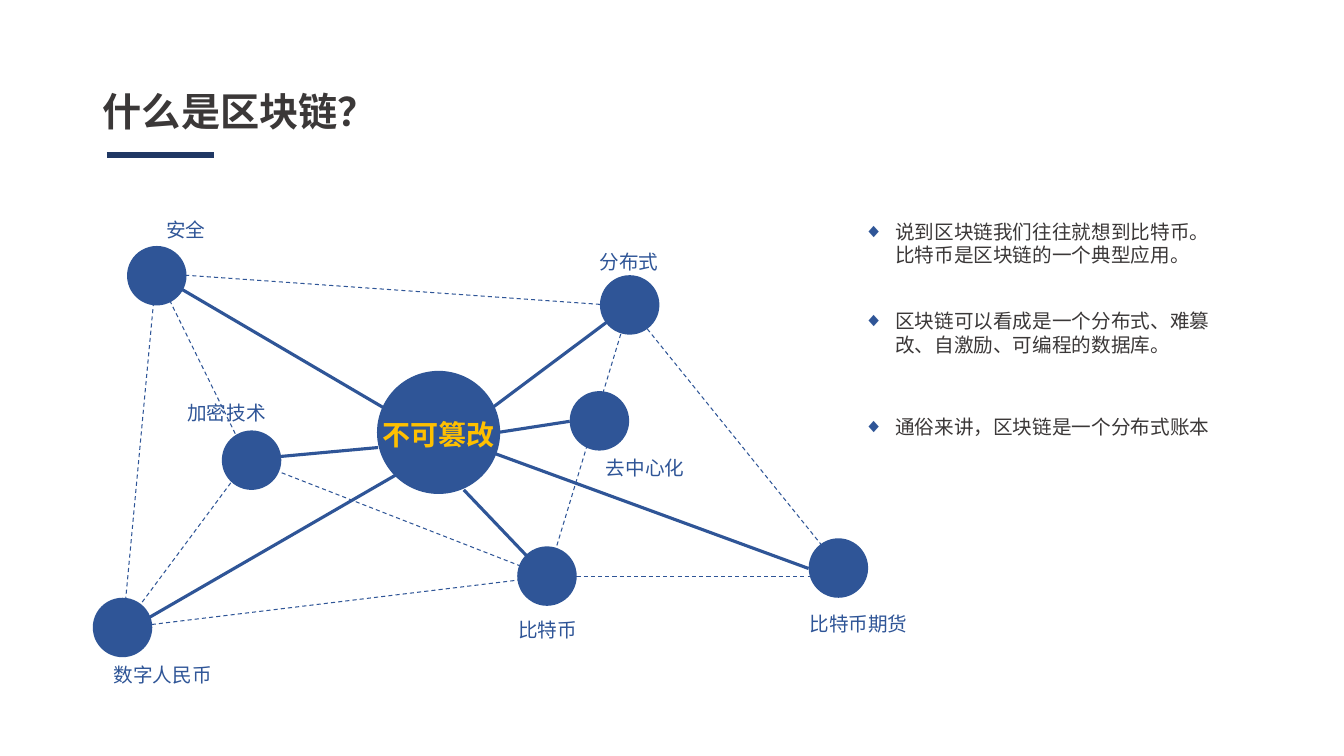
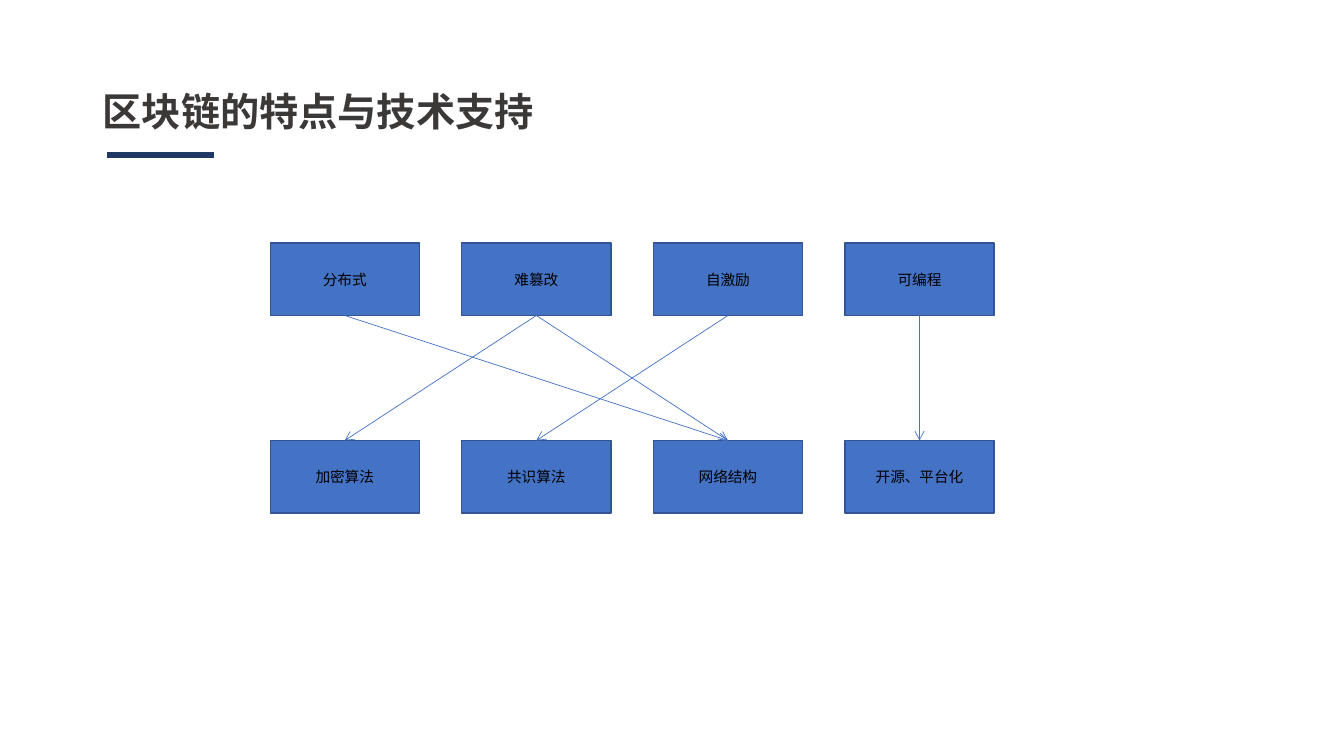
from dataclasses import dataclass

from lxml import etree
from pptx import Presentation
from pptx.dml.color import RGBColor
from pptx.enum import dml, shapes, text
from pptx.oxml.ns import qn
from pptx.util import Emu, Pt

PX = 9144  # 100 px to the inch


@dataclass(frozen=True)
class Theme:
    # Colours
    ink: str = "3B3838"
    rule: str = "203864"
    node: str = "2F5597"
    gold: str = "FFC000"
    box: str = "4472C4"
    edge: str = "325491"
    black: str = "000000"
    # Fonts
    sans: str = "Arial"
    asian: str = "Noto Sans CJK SC"
    serif: str = "Times New Roman"
    # Type sizes
    title: int = 28
    big: int = 20
    body: int = 14
    small: float = 10.5


def px(*sizes):
    return [Emu(size * PX) for size in sizes]


def rgb(code):
    return RGBColor.from_string(code)


class Deck:
    def __init__(self, theme):
        self.theme = theme
        self.prs = Presentation()
        self.prs.slide_width, self.prs.slide_height = px(1333, 750)
        self.slide = None

    def start(self, title):
        """Add a slide with the shared title style and rule."""
        t = self.theme
        self.slide = self.prs.slides.add_slide(self.prs.slide_layouts[5])
        head = self.slide.shapes.title
        head.left, head.top, head.width, head.height = px(92, 40, 1150, 145)
        frame = head.text_frame
        frame.text = title
        frame.auto_size = text.MSO_AUTO_SIZE.NONE
        frame.vertical_anchor = text.MSO_ANCHOR.MIDDLE
        frame.paragraphs[0].line_spacing = 0.9
        self.style(frame, t.title, t.ink, bold=True)
        self.line((106, 154), (212, 154), t.rule, 4.5)

    def style(self, frame, size, color, font=None, asian=None, bold=False,
              align=text.PP_ALIGN.LEFT):
        name = font or self.theme.sans
        for par in frame.paragraphs:
            par.alignment = align
            for run in par.runs:
                run.font.size, run.font.bold = Pt(size), bold
                run.font.name = name
                run.font.color.rgb = rgb(color)
                east = etree.SubElement(run.font._element, qn("a:ea"))
                east.set("typeface", asian or name)

    def line(self, start, end, color, width, dash=False, arrow=False):
        link = self.slide.shapes.add_connector(
            shapes.MSO_CONNECTOR.STRAIGHT, *px(*start, *end))
        link.line.color.rgb = rgb(color)
        link.line.width = Pt(width)
        if dash:
            link.line.dash_style = dml.MSO_LINE.DASH
        props = link._element.spPr
        if arrow:
            tail = etree.SubElement(props.find(qn("a:ln")), qn("a:tailEnd"))
            tail.set("type", "arrow")
        etree.SubElement(props, qn("a:effectLst"))
        return link

    def shape(self, kind, area, fill, edge=None, width=1):
        item = self.slide.shapes.add_shape(kind, *px(*area))
        item.shadow.inherit = False
        item.fill.solid()
        item.fill.fore_color.rgb = rgb(fill)
        if edge:
            item.line.color.rgb = rgb(edge)
            item.line.width = Pt(width)
        else:
            item.line.fill.background()
        return item

    def dot(self, left, top, size, edge=None):
        self.shape(shapes.MSO_SHAPE.OVAL, (left, top, size, size),
                   self.theme.node, edge, 3)

    def box(self, left, top, words):
        t = self.theme
        item = self.shape(shapes.MSO_SHAPE.RECTANGLE, (left, top, 148, 72),
                          t.box, t.edge)
        frame = item.text_frame
        frame.text = words
        frame.vertical_anchor = text.MSO_ANCHOR.MIDDLE
        self.style(frame, t.small, t.black, t.serif, t.asian,
                   align=text.PP_ALIGN.CENTER)
        return item

    def label(self, area, words, size, color, wrap=False, **look):
        frame = self.slide.shapes.add_textbox(*px(*area)).text_frame
        frame.word_wrap = wrap
        frame.auto_size = text.MSO_AUTO_SIZE.SHAPE_TO_FIT_TEXT
        frame.text = words
        self.style(frame, size, color, **look)
        return frame

    def tag(self, left, top, words):
        """Name a node on one line: 20 px a letter, 20 px of margin."""
        t = self.theme
        self.label((left, top, 20 * len(words) + 20, 34), words, t.body,
                   t.node)

    def bullet(self, top, height, words):
        t = self.theme
        frame = self.label((847, top, 373, height), words, t.body, t.ink,
                           wrap=True)
        props = frame.paragraphs[0]._p.get_or_add_pPr()
        props.set("marL", str(31 * PX))
        props.set("indent", str(-31 * PX))
        tint = etree.SubElement(props, qn("a:buClr"))
        etree.SubElement(tint, qn("a:srgbClr")).set("val", t.node)
        for part, key, value in (("a:buFont", "typeface", t.sans),
                                 ("a:buChar", "char", "◆")):
            etree.SubElement(props, qn(part)).set(key, value)


def network(deck):
    t = deck.theme
    deck.start("什么是区块链？")

    # Hub and its strong links
    deck.dot(376, 370, 118, t.node)
    for start, end in (
            ((383, 406), (165, 278)), ((489, 404), (624, 303)),
            ((375, 444), (244, 456)), ((393, 471), (130, 623)),
            ((460, 486), (522, 551)), ((491, 450), (802, 564)),
            ((494, 429), (565, 418))):
        deck.line(start, end, t.node, 2.25)

    # Weak links between nodes
    safe, spread, crypt = (155, 271), (624, 304), (246, 456)
    yuan, coin = (122, 623), (543, 572)
    for start, end in (
            (crypt, safe), (crypt, yuan), (crypt, coin), (safe, spread),
            (spread, (832, 562)), (coin, (825, 572)), (yuan, coin),
            (safe, yuan), (spread, coin)):
        deck.line(start, end, t.node, 0.75, dash=True)

    # Nodes: corner of the dot, then corner of its label
    for dot, corner, words in (
            ((126, 244), (155, 211), "安全"),
            ((595, 273), (585, 243), "分布式"),
            ((565, 388), (591, 447), "去中心化"),
            ((802, 534), (793, 602), "比特币期货"),
            ((513, 542), (504, 608), "比特币"),
            ((92, 593), (103, 653), "数字人民币"),
            ((220, 427), (176, 393), "加密技术")):
        deck.dot(*dot, 59)
        deck.tag(*corner, words)
    deck.label((365, 409, 140, 44), "不可篡改", t.big, t.gold, font=t.asian,
               bold=True, align=text.PP_ALIGN.CENTER)

    # Remarks
    deck.bullet(213, 77, "说到区块链我们往往就想到比特币。比特币是区块链的一个典型应用。")
    deck.bullet(302, 57, "区块链可以看成是一个分布式、难篡改、自激励、可编程的数据库。")
    deck.bullet(407, 32, "通俗来讲，区块链是一个分布式账本")


def support(deck):
    t = deck.theme
    deck.start("区块链的特点与技术支持")

    # Two rows of boxes on one grid
    traits, techs = [
        [deck.box(268 + 190 * col, top, words)
         for col, words in enumerate(row)]
        for top, row in (
            (241, ("分布式", "难篡改", "自激励", "可编程")),
            (437, ("加密算法", "共识算法", "网络结构", "开源、平台化")))]

    # Arrows from the foot of a trait to the top of a technique
    for trait, tech in ((1, 0), (2, 1), (1, 2), (3, 3), (0, 2)):
        link = deck.line((0, 0), (0, 0), t.box, 0.5, arrow=True)
        link.begin_connect(traits[trait], 2)
        link.end_connect(techs[tech], 0)


def main():
    deck = Deck(Theme())
    network(deck)
    support(deck)
    deck.prs.save("out.pptx")


if __name__ == "__main__":
    main()
